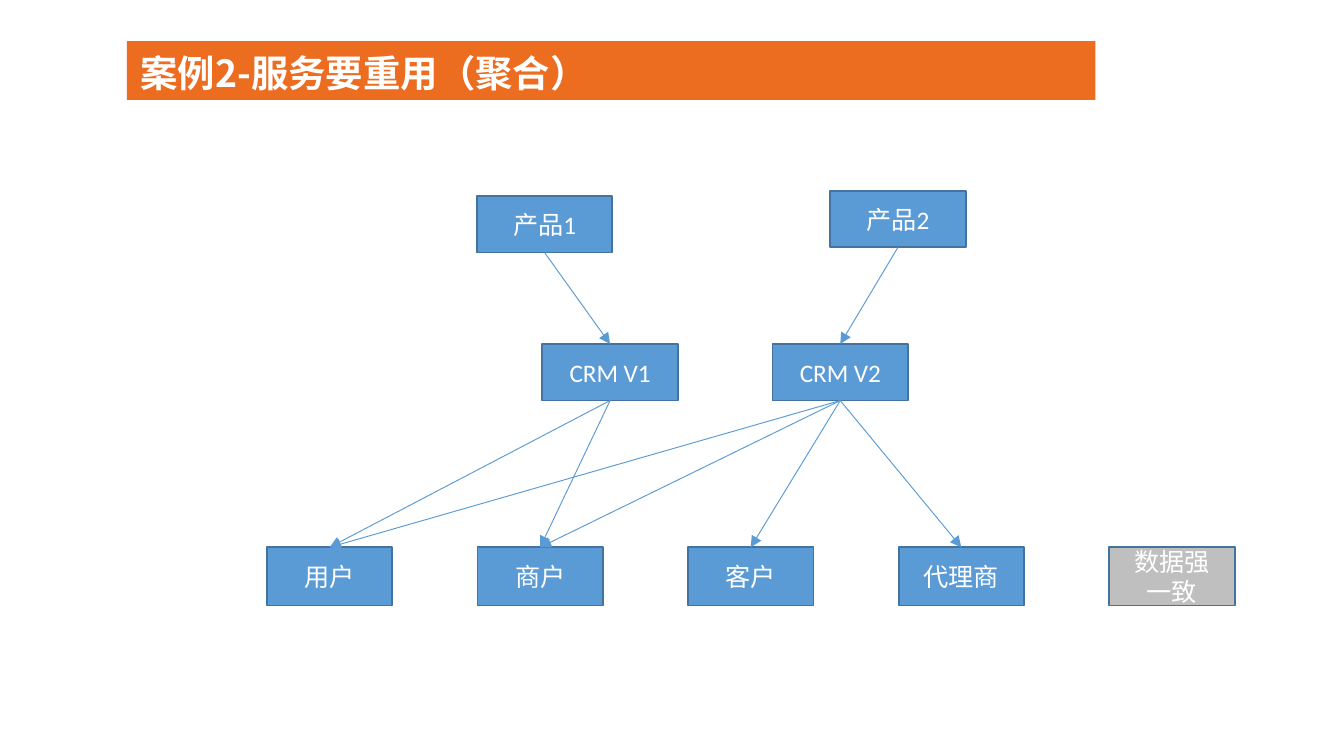
from pptx import Presentation
from pptx.util import Pt
from pptx.dml.color import RGBColor as RGB
from pptx.enum.shapes import MSO_SHAPE as Shape, MSO_CONNECTOR as Conn
from pptx.enum.text import PP_ALIGN as Align, MSO_ANCHOR as Anchor
from pptx.oxml.ns import qn
from lxml.etree import SubElement as Sub

# Content
TITLE = "案例2-服务要重用（聚合）"
APPS = ["产品1", "产品2"]
CRMS = ["CRM V1", "CRM V2"]
DATA = ["用户", "商户", "客户", "代理商", "数据强一致"]
LINKS = {
    "CRM V1": ["用户", "商户"],
    "CRM V2": ["用户", "商户", "客户", "代理商"],
    "产品1": ["CRM V1"],
    "产品2": ["CRM V2"],
}
HEX = {"bar": "EC6C20", "box": "5B9BD5", "edge": "43739E",
       "mute": "BFBFBF", "text": "FFFFFF"}
CJK = "Noto Sans CJK SC"

# Layout: left and top of each box, by row
BIG, SMALL = (72.7, 30.3), (67.2, 31.2)
APP_POS = [(255.4, 105), (444.7, 102.2)]
CRM_POS = [(290.5, 184.3), (413.8, 184.3)]
DATA_POS = [(143 + 112.8 * i, 293.2) for i in range(len(DATA))]


def color(name):
    return RGB.from_string(HEX[name])


def paint(shape, name):
    shape.fill.solid()
    shape.fill.fore_color.rgb = color(name)


def style(para, size, face, bold=False):
    for run in para.runs:
        font = run.font
        font.size, font.name, font.bold = Pt(size), face, bold
        font.color.rgb = color("text")
        Sub(font._element, qn("a:ea"), typeface=CJK)


def add_box(text, pos, size):
    box = slide.shapes.add_shape(
        Shape.RECTANGLE, *[Pt(n) for n in pos + size])
    box.shadow.inherit = False
    paint(box, "mute" if text == DATA[-1] else "box")
    box.line.color.rgb = color("edge")
    box.line.width = Pt(1)
    frame = box.text_frame
    frame.text = text
    frame.word_wrap = True
    frame.vertical_anchor = Anchor.MIDDLE
    para = frame.paragraphs[0]
    para.alignment = Align.CENTER
    style(para, 13.5, "Calibri")
    return box


def add_link(start, end):
    line = slide.shapes.add_connector(Conn.STRAIGHT, 0, 0, 0, 0)
    line.begin_connect(start, 2)
    line.end_connect(end, 0)
    line.line.color.rgb = color("box")
    line.line.width = Pt(0.5)
    props = line._element.spPr
    Sub(props.find(qn("a:ln")), qn("a:tailEnd"), type="triangle")
    Sub(props, qn("a:effectLst"))


prs = Presentation()
prs.slide_width, prs.slide_height = Pt(720), Pt(405)
slide = prs.slides.add_slide(prs.slide_layouts[5])

# Title bar
bar = slide.shapes.title
bar.left, bar.top, bar.width, bar.height = Pt(68), Pt(22), Pt(518.8), Pt(31.5)
paint(bar, "bar")
frame = bar.text_frame
frame.text = TITLE
frame.vertical_anchor = Anchor.MIDDLE
frame.margin_top, frame.margin_bottom = Pt(2), 0
head = frame.paragraphs[0]
head.alignment = Align.LEFT
style(head, 20, CJK, True)

# Boxes
boxes = {}
for names, spots, size in [(CRMS, CRM_POS, BIG), (DATA, DATA_POS, SMALL),
                           (APPS, APP_POS, BIG)]:
    for name, pos in zip(names, spots):
        boxes[name] = add_box(name, pos, size)

# Arrows
for start, ends in LINKS.items():
    for end in ends:
        add_link(boxes[start], boxes[end])

prs.save("out.pptx")
